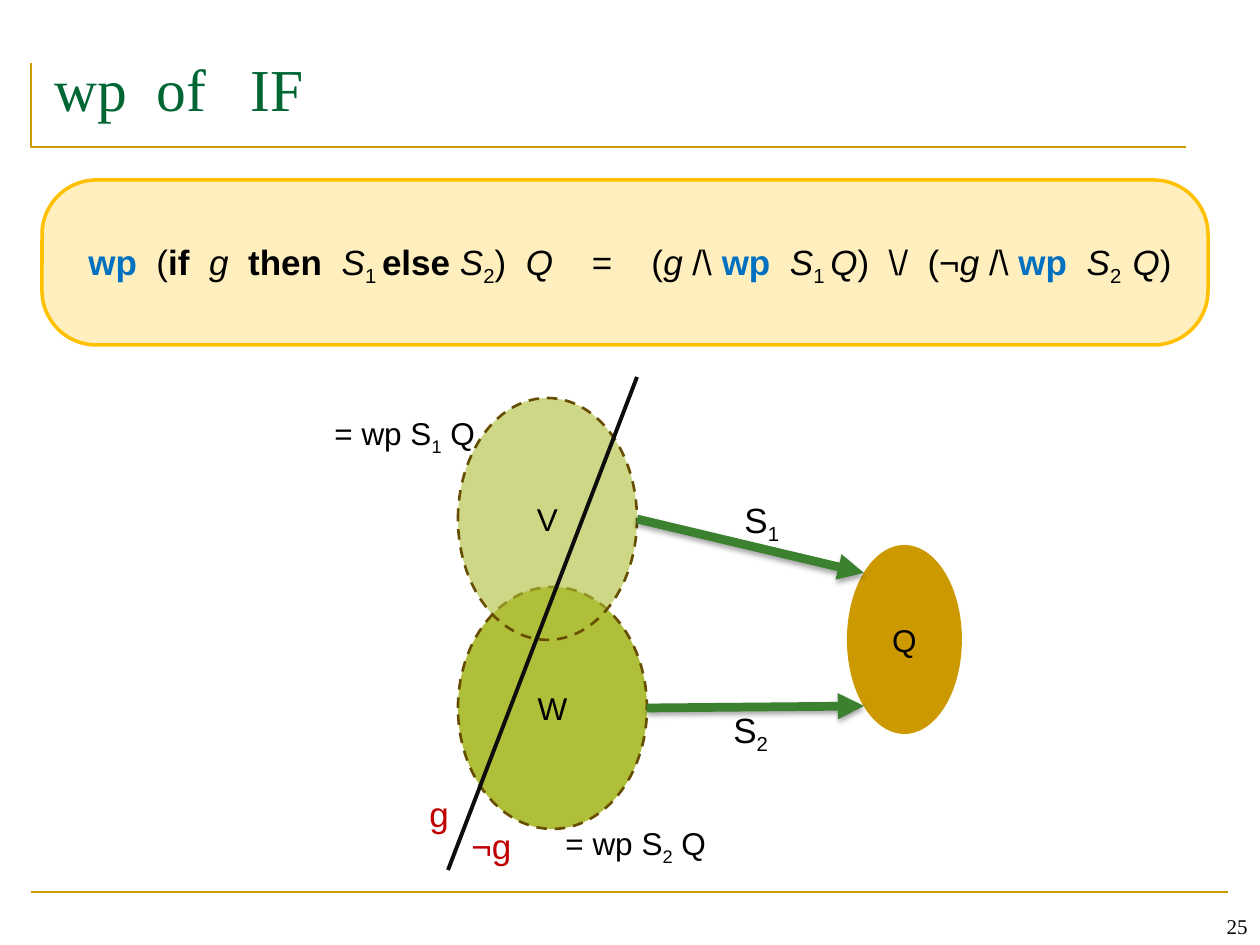
from lxml import etree
from pptx import Presentation
from pptx import util as u
from pptx.dml.color import RGBColor
from pptx.enum import dml, shapes, text
from pptx.oxml.ns import qn

SCALE = 914400 / 126
HUES = dict(gold="CC9900", amber="FFC000", green="006633", blue="0070C0",
            black="000000", olive="AFBF39", brown="664D00", arrow="3B812F",
            ink="0D0D0D", red="C00000")
STYLES = {
    "n": {}, "b": dict(bold=True), "i": dict(italic=True), "s": {},
    "w": dict(bold=True, hue="blue"),
}

FORMULA = [
    ("wp", "w"), ("  (", "n"), ("if  ", "b"), ("g  ", "i"), ("then  ", "b"),
    ("S", "i"), ("1 ", "s"), ("else ", "b"), ("S", "i"), ("2", "s"),
    (")  ", "n"), ("Q", "i"), ("    =    (", "n"), ("g", "i"), (" /\\ ", "n"),
    ("wp  ", "w"), ("S", "i"), ("1 ", "s"), ("Q", "i"), (")  \\/  (¬", "n"),
    ("g", "i"), (" /\\ ", "n"), ("wp  ", "w"), ("S", "i"), ("2  ", "s"),
    ("Q", "i"), (")", "n"),
]
HEADS = [
    ((42, 46, 1176, 100), [("wp  of   IF", "n")],
     dict(size=34, face="Times New Roman", hue="green")),
    ((21, 234, 1218, 56), FORMULA, dict(size=20, align="CENTER")),
    ((966, 882, 294, 63), [("25", "n")],
     dict(size=12, face="Times New Roman", align="RIGHT", anchor="BOTTOM")),
]
SETS = [
    ("Q", (847, 545, 115, 189), "gold", None, None),
    ("W", (458, 587, 189, 242), "olive", "brown", None),
    ("V", (458, 398, 179, 242), "olive", "brown", 61),
]
LABELS = [
    ((553, 818, 169, 50), [("= wp S", "n"), ("2", "s"), (" Q", "n")], 18, "black"),
    ((322, 408, 169, 50), [("= wp S", "n"), ("1", "s"), (" Q", "n")], 18, "black"),
    ((721, 702, 62, 55), [("S", "n"), ("2", "s")], 20, "black"),
    ((732, 492, 62, 55), [("S", "n"), ("1", "s")], 20, "black"),
    ((417, 786, 45, 55), [("g", "n")], 20, "red"),
    ((459, 818, 72, 55), [("¬g", "n")], 20, "red"),
]
ARROWS = [(647, 708, 864, 706), (637, 519, 864, 573)]
SPLIT = (637, 377, 448, 870)
RULE = (31, 892, 1228, 892)
FRAME = [(31, 63), (31, 147), (1186, 147)]


def px(n):
    return u.Emu(round(n * SCALE))


def rgb(hue):
    return RGBColor.from_string(HUES[hue])


def write(frame, runs, size, hue="black", face="Arial", align="LEFT", anchor="TOP"):
    frame.word_wrap = False
    frame.vertical_anchor = getattr(text.MSO_ANCHOR, anchor)
    para = frame.paragraphs[0]
    para.alignment = getattr(text.PP_ALIGN, align)
    for words, kind in runs:
        run = para.add_run()
        run.text = words
        look = dict(size=u.Pt(size), name=face, bold=False, italic=False, hue=hue)
        look.update(STYLES[kind])
        run.font.color.rgb = rgb(look.pop("hue"))
        for key, val in look.items():
            setattr(run.font, key, val)
        if kind == "s":
            run.font._element.set("baseline", "-25000")


def label(box, runs, **look):
    write(tree.add_textbox(*map(px, box)).text_frame, runs, **look)


def paint(shape, fill, alpha=None, edge=None, width=1.5, dash=None):
    shape.shadow.inherit = False
    if fill:
        shape.fill.solid()
        shape.fill.fore_color.rgb = rgb(fill)
    else:
        shape.fill.background()
    if alpha:
        tint = shape._element.spPr.find(".//" + qn("a:srgbClr"))
        etree.SubElement(tint, qn("a:alpha"), val=str(alpha * 1000))
    if edge:
        shape.line.color.rgb = rgb(edge)
        shape.line.width = u.Pt(width)
        shape.line.dash_style = dash
    else:
        shape.line.fill.background()


def line(ends, hue, width, head=False):
    link = tree.add_connector(shapes.MSO_CONNECTOR.STRAIGHT, *map(px, ends))
    link.line.color.rgb = rgb(hue)
    link.line.width = u.Pt(width)
    glow = etree.SubElement(link._element.spPr, qn("a:effectLst"))
    if head:
        etree.SubElement(link.line._get_or_add_ln(), qn("a:tailEnd"), type="triangle")
        cast = etree.SubElement(glow, qn("a:outerShdw"), blurRad=str(u.Pt(3.1)),
                                dist=str(u.Pt(1.8)), dir="5400000", rotWithShape="0")
        tint = etree.SubElement(cast, qn("a:srgbClr"), val=HUES["black"])
        etree.SubElement(tint, qn("a:alpha"), val="35000")


deck = Presentation()
deck.slide_width, deck.slide_height = px(1260), px(945)
tree = deck.slides.add_slide(deck.slide_layouts[6]).shapes

pen = tree.build_freeform(*FRAME[0], scale=SCALE)
pen.add_line_segments(FRAME[1:], close=False)
paint(pen.convert_to_shape(), None, edge="gold")
line(RULE, "gold", 1.5)

panel = tree.add_shape(shapes.MSO_SHAPE.ROUNDED_RECTANGLE, *map(px, (42, 180, 1166, 165)))
panel.adjustments[0] = 0.33
paint(panel, "amber", 25, "amber", 2)

for box, runs, look in HEADS:
    label(box, runs, **look)
for name, box, fill, edge, alpha in SETS:
    oval = tree.add_shape(shapes.MSO_SHAPE.OVAL, *map(px, box))
    paint(oval, fill, alpha, edge, dash=dml.MSO_LINE.DASH)
    write(oval.text_frame, [(name, "n")], 18, align="CENTER", anchor="MIDDLE")
for ends in ARROWS:
    line(ends, "arrow", 5, True)
line(SPLIT, "ink", 2.25)
for box, runs, size, hue in LABELS:
    label(box, runs, size=size, hue=hue)

deck.save("out.pptx")
